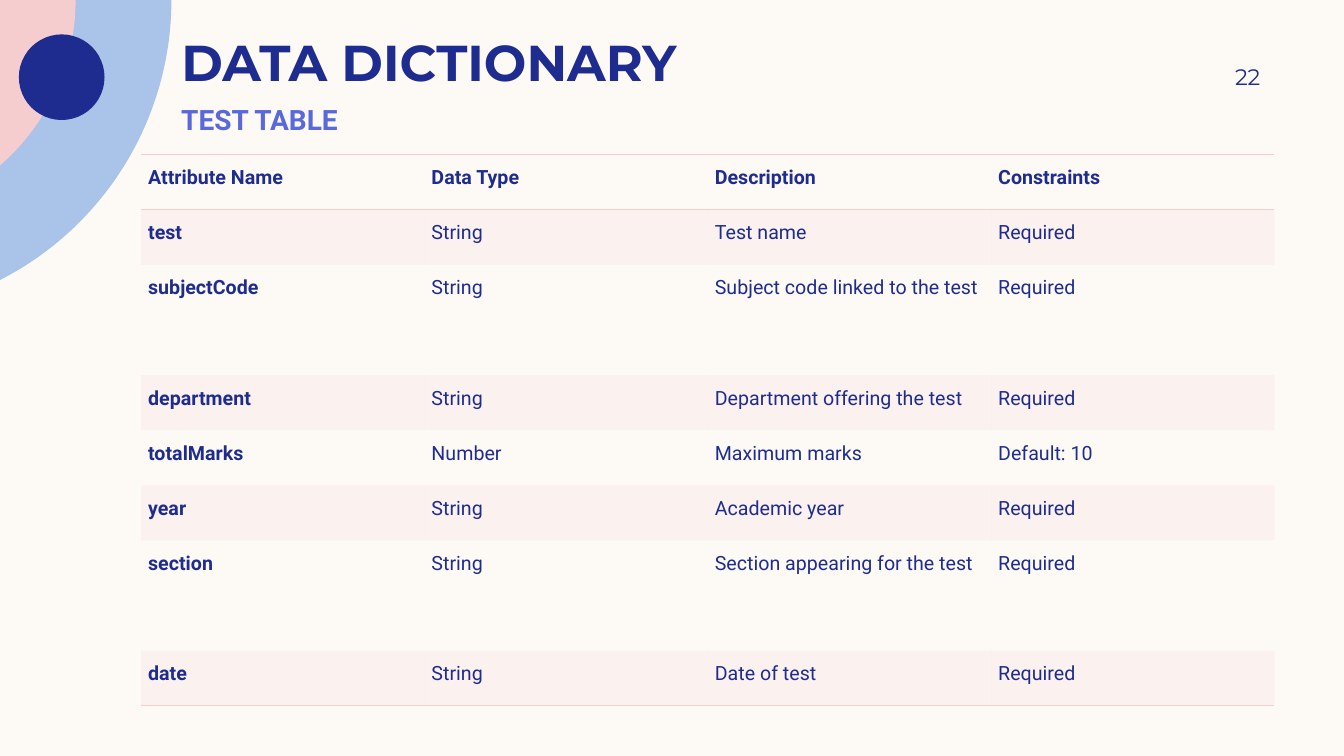
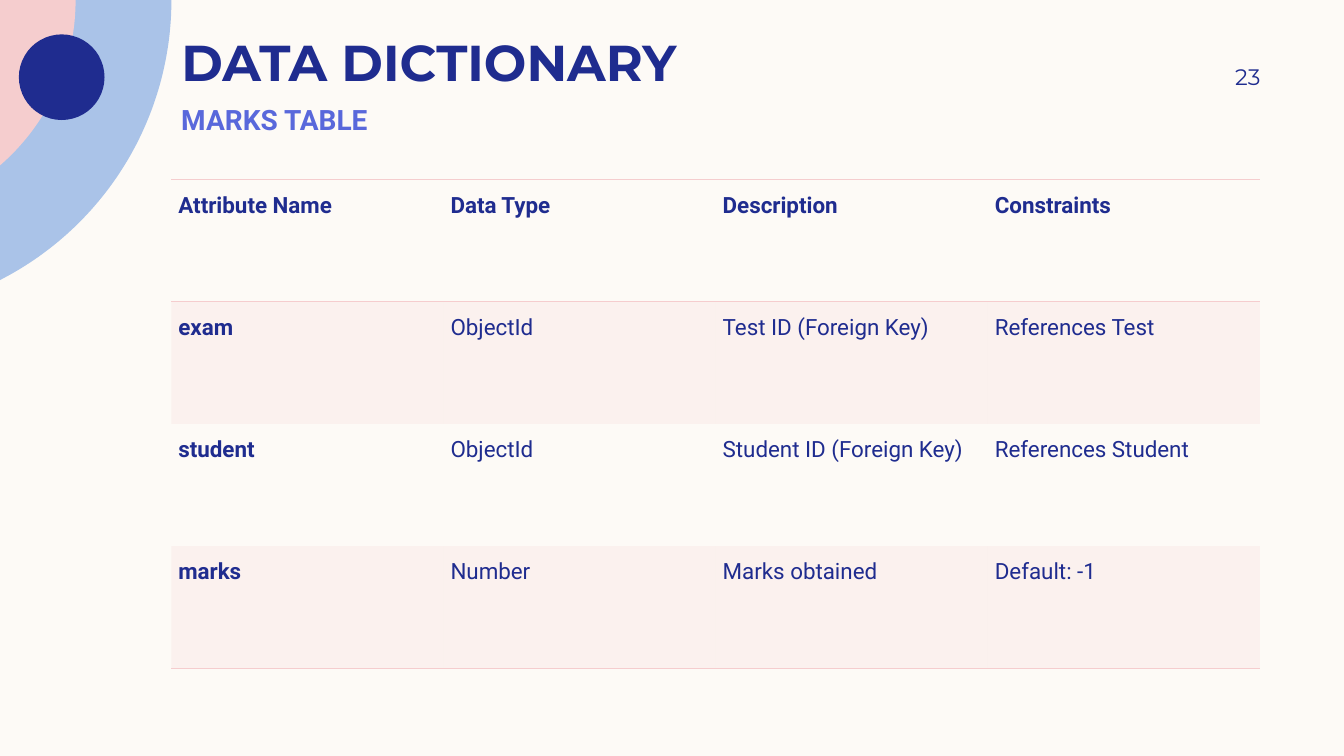
import math
from dataclasses import dataclass

from lxml import etree
from pptx import Presentation
from pptx import util as u
from pptx.dml.color import RGBColor
from pptx.enum import shapes, text
from pptx.oxml import ns

SLIDE_WIDTH = u.Inches(13.33)
SLIDE_HEIGHT = u.Inches(7.5)
NO_TABLE_STYLE = "{2D5ABB26-0587-4C30-8999-92F81FD0307C}"


@dataclass(frozen=True)
class Theme:
    paper: str = "FDFAF6"
    navy: str = "1F2C8F"
    violet: str = "5968DB"
    sky: str = "AAC3E8"
    pink: str = "F5CDCE"
    band_opacity: int = 20
    heading_font: str = "Montserrat"
    body_font: str = "Roboto"
    title_size: int = 36
    subtitle_size: int = 20
    number_size: int = 16
    dense_table_size: int = 14
    open_table_size: int = 16


THEME = Theme()
HEADER = ("Attribute Name", "Data Type", "Description", "Constraints")

TEST_ROWS = [
    HEADER,
    ("test", "String", "Test name", "Required"),
    ("subjectCode", "String", "Subject code linked to the test", "Required"),
    ("department", "String", "Department offering the test", "Required"),
    ("totalMarks", "Number", "Maximum marks", "Default: 10"),
    ("year", "String", "Academic year", "Required"),
    ("section", "String", "Section appearing for the test", "Required"),
    ("date", "String", "Date of test", "Required"),
]
MARKS_ROWS = [
    HEADER,
    ("exam", "ObjectId", "Test ID (Foreign Key)", "References Test"),
    ("student", "ObjectId", "Student ID (Foreign Key)", "References Student"),
    ("marks", "Number", "Marks obtained", "Default: -1"),
]


def across(percent):
    """Share of the slide's width."""
    return u.Emu(round(SLIDE_WIDTH * percent / 100))


def down(percent):
    """Share of the slide's height; also used for round shapes."""
    return u.Emu(round(SLIDE_HEIGHT * percent / 100))


def color(value):
    return RGBColor.from_string(value)


def style_font(paragraph, name, size, hue, bold=False):
    font = paragraph.font
    font.name, font.size, font.bold = name, u.Pt(size), bold
    font.color.rgb = color(hue)


def paint(shape, hue):
    shape.fill.solid()
    shape.fill.fore_color.rgb = color(hue)
    shape.line.fill.background()
    shape.shadow.inherit = False


def add_sector(slide, center_x, radius, hue):
    """Part of a disc, centred on the top edge, that falls on the slide."""
    steps = 60
    sweep = math.acos(-center_x / radius)
    arc = [
        (down(center_x + radius * math.cos(sweep * step / steps)),
         down(radius * math.sin(sweep * step / steps)))
        for step in range(steps + 1)
    ]
    builder = slide.shapes.build_freeform(0, 0, scale=1.0)
    builder.add_line_segments(arc, close=True)
    paint(builder.convert_to_shape(), hue)


def add_corner_art(slide):
    center_x = -18.93
    add_sector(slide, center_x, 41.6, THEME.sky)
    add_sector(slide, center_x, 28.93, THEME.pink)
    diameter = down(11.33)
    dot = slide.shapes.add_shape(
        shapes.MSO_SHAPE.OVAL, down(2.5), down(4.55), diameter, diameter)
    paint(dot, THEME.navy)


def add_text(slide, content, box, font, anchor=text.MSO_ANCHOR.TOP,
             align=text.PP_ALIGN.LEFT, right_inset=0.1):
    left, top, width, height = box
    shape = slide.shapes.add_textbox(
        across(left), down(top), across(width), down(height))
    frame = shape.text_frame
    frame.word_wrap = True
    frame.vertical_anchor = anchor
    frame.margin_left, frame.margin_right = u.Inches(0.1), u.Inches(right_inset)
    frame.margin_top = frame.margin_bottom = 0
    paragraph = frame.paragraphs[0]
    paragraph.text = content
    paragraph.alignment = align
    style_font(paragraph, *font)


def add_border(cell, side):
    line = etree.SubElement(
        cell._tc.get_or_add_tcPr(), ns.qn(f"a:ln{side}"), w=str(u.Pt(1)))
    fill = etree.SubElement(line, ns.qn("a:solidFill"))
    etree.SubElement(fill, ns.qn("a:srgbClr"), val=THEME.pink)


def fill_band(cell):
    cell.fill.solid()
    cell.fill.fore_color.rgb = color(THEME.pink)
    tint = cell._tc.tcPr.find(ns.qn("a:solidFill")).find(ns.qn("a:srgbClr"))
    etree.SubElement(tint, ns.qn("a:alpha"), val=str(THEME.band_opacity * 1000))


def write_cell(cell, content, size, bold):
    cell.margin_left = cell.margin_right = u.Inches(0.07)
    cell.margin_top = cell.margin_bottom = 0
    paragraph = cell.text_frame.paragraphs[0]
    paragraph.text = content
    paragraph.alignment = text.PP_ALIGN.JUSTIFY
    paragraph.line_spacing = 1.5
    paragraph.space_after = u.Pt(8)
    style_font(paragraph, THEME.body_font, size, THEME.navy, bold)


def add_dictionary_table(slide, rows, box, size, row_height, tall_rows=()):
    """Table with a ruled header and banded rows; tall rows are doubled."""
    left, top, width = box
    heights = [row_height * (2 if row in tall_rows else 1)
               for row in range(len(rows))]
    frame = slide.shapes.add_table(
        len(rows), len(HEADER), across(left), down(top),
        across(width), down(sum(heights)))
    table = frame.table
    table.first_row = table.horz_banding = False
    table._tbl.tblPr.find(ns.qn("a:tableStyleId")).text = NO_TABLE_STYLE
    for row, (values, height) in enumerate(zip(rows, heights)):
        table.rows[row].height = down(height)
        for column, content in enumerate(values):
            cell = table.cell(row, column)
            write_cell(cell, content, size, row == 0 or column == 0)
            if row == 0:
                add_border(cell, "T")
            if row in (0, len(rows) - 1):
                add_border(cell, "B")
            if row % 2:
                fill_band(cell)
            else:
                cell.fill.background()


def add_dictionary_slide(presentation, subtitle, number):
    slide = presentation.slides.add_slide(presentation.slide_layouts[6])
    add_corner_art(slide)
    add_text(slide, "DATA DICTIONARY", (12.75, 0.8, 44.2, 11.33),
             (THEME.heading_font, THEME.title_size, THEME.navy, True),
             anchor=text.MSO_ANCHOR.BOTTOM)
    add_text(slide, subtitle, (12.75, 13.6, 34.75, 5.6),
             (THEME.body_font, THEME.subtitle_size, THEME.violet, True))
    add_text(slide, number, (85, 6.67, 8.78, 6.93),
             (THEME.heading_font, THEME.number_size, THEME.navy),
             anchor=text.MSO_ANCHOR.MIDDLE, align=text.PP_ALIGN.RIGHT,
             right_inset=0)
    return slide


def main():
    presentation = Presentation()
    presentation.slide_width = SLIDE_WIDTH
    presentation.slide_height = SLIDE_HEIGHT
    background = presentation.slide_master.background.fill
    background.solid()
    background.fore_color.rgb = color(THEME.paper)

    test_slide = add_dictionary_slide(presentation, "TEST TABLE", "22")
    add_dictionary_table(test_slide, TEST_ROWS, (10.5, 20.47, 84.33),
                         THEME.dense_table_size, 7.29, tall_rows=(2, 6))

    marks_slide = add_dictionary_slide(presentation, "MARKS TABLE", "23")
    add_dictionary_table(marks_slide, MARKS_ROWS, (12.75, 23.75, 81),
                         THEME.open_table_size, 16.17)
    presentation.save("out.pptx")


if __name__ == "__main__":
    main()
